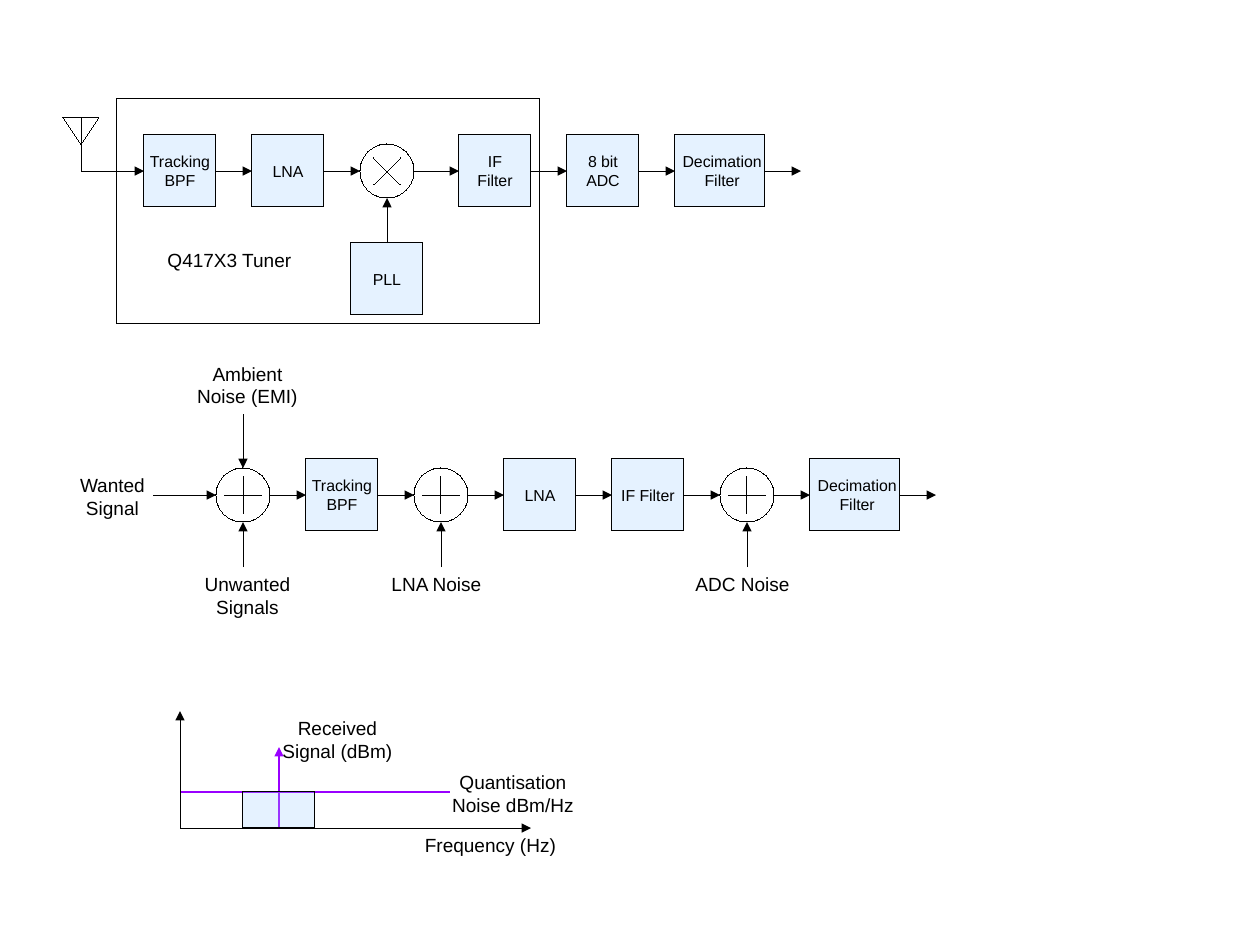
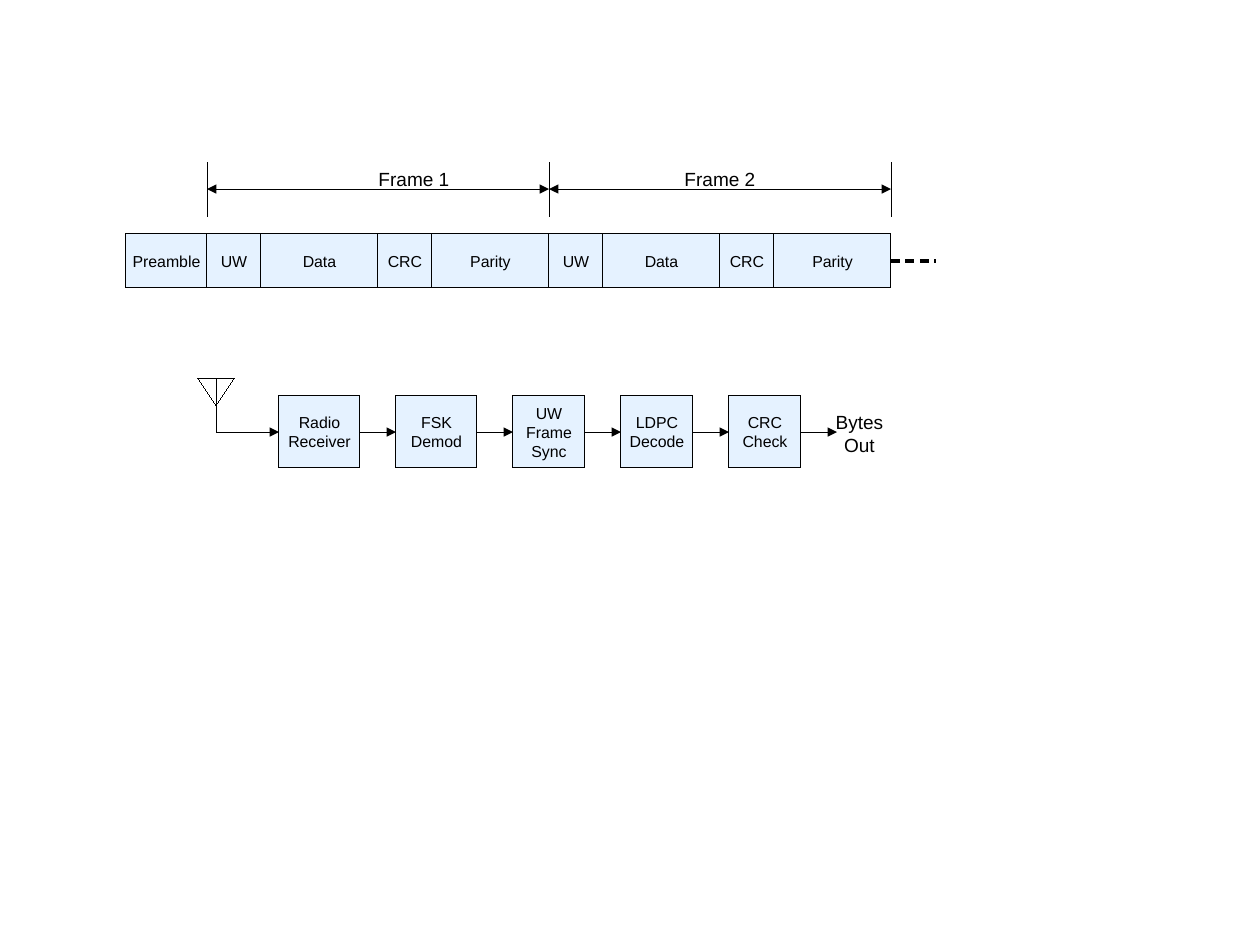
from pptx import Presentation
from pptx.dml.color import RGBColor
from pptx.enum.shapes import MSO_CONNECTOR as Link, MSO_SHAPE as Form
from pptx.enum.text import MSO_ANCHOR as Anchor, PP_ALIGN as Align
from pptx.oxml.ns import qn
from pptx.util import Inches, Pt
from lxml.etree import SubElement as sub

BLACK = RGBColor(0, 0, 0)
WHITE = RGBColor(255, 255, 255)
BLUE = RGBColor(0x99, 0xCC, 0xFF)
PURPLE = RGBColor(0x99, 0, 0xFF)
FONT = "Arial"
STEP = 12.7  # grid steps per inch
PAGE = (140, 105)  # slide size in steps
TALL = 8     # block height in steps
RING = 6     # ring diameter in steps
GAP = 4      # usual gap between blocks

# Content: rows of (kind, text, width, gap after), lengths in grid steps
TUNER = [
    ("block", "Tracking\nBPF", 8, GAP), ("block", "LNA", 8, GAP),
    ("times", "", RING, 5), ("block", "IF\nFilter", 8, GAP),
    ("block", "8 bit\nADC", 8, GAP), ("block", " Decimation\n Filter", 10, GAP),
]
NOISE = [
    ("plus", "", RING, GAP), ("block", "Tracking\nBPF", 8, GAP),
    ("plus", "", RING, GAP), ("block", "LNA", 8, GAP),
    ("block", "IF Filter", 8, GAP), ("plus", "", RING, GAP),
    ("block", " Decimation\n Filter", 10, GAP),
]
MODEM = [
    ("block", "Radio\nReceiver", 9, GAP), ("block", "FSK\nDemod", 9, GAP),
    ("block", "UW\nFrame\nSync", 8, GAP), ("block", "LDPC\nDecode", 8, GAP),
    ("block", "CRC\nCheck", 8, GAP),
]
FRAME = [("UW", 6), ("Data", 13), ("CRC", 6), ("Parity", 13)]
FIELDS = [("Preamble", 9)] + FRAME * 2

# Labels: text, left, top, width
NOTES = [
    ("Q417X3 Tuner", 15, 27, 21),
    ("Wanted\nSignal", 4, 52, 17), ("Ambient\nNoise (EMI)", 19, 39.6, 17),
    ("Unwanted\nSignals", 19, 63, 17), ("LNA Noise", 40, 63, 17),
    ("ADC Noise", 74, 63, 17),
    ("Received Signal (dBm)", 29, 79, 17),
    ("Quantisation Noise dBm/Hz", 48, 85, 18), ("Frequency (Hz)", 44, 92, 21),
]
MARKS = [("Frame 1", 37, 18, 18), ("Frame 2", 71, 18, 18),
         ("Bytes\nOut", 89, 45, 13)]


def grid(*steps):
    return [Inches(n / STEP) for n in steps]


def write(shape, text, size):
    frame = shape.text_frame
    for i, row in enumerate(text.split("\n")):
        para = frame.add_paragraph() if i else frame.paragraphs[0]
        para.alignment = Align.CENTER
        run = para.add_run()
        run.text = row
        run.font.name, run.font.size = FONT, Pt(size)
        run.font.color.rgb = BLACK
    return frame


def label(slide, text, x, y, wide):
    box = slide.shapes.add_textbox(*grid(x, y, wide, 8))
    write(box, text, 12).word_wrap = True


def stroke(item, color=BLACK, width=0):
    """Colour the outline; a hairline needs its zero width written out."""
    item.line.color.rgb = color
    edge = item.line._get_or_add_ln()
    edge.set("w", str(int(Pt(width))))
    return edge


def line(shapes, x1, y1, x2, y2, color=BLACK, width=0, ends=()):
    link = shapes.add_connector(Link.STRAIGHT, *grid(x1, y1, x2, y2))
    edge = stroke(link, color, width)
    for end in ends:
        sub(edge, qn("a:" + end), type="triangle")
    sub(link._element.spPr, qn("a:effectLst"))
    return link


def arrow(slide, *ends, **style):
    return line(slide.shapes, *ends, ends=("tailEnd",), **style)


def shape(shapes, form, x, y, wide, tall, fill=None):
    item = shapes.add_shape(form, *grid(x, y, wide, tall))
    item.shadow.inherit = False
    stroke(item)
    if fill is None:
        item.fill.background()
    else:
        item.fill.solid()
        item.fill.fore_color.rgb = fill
    return item


def block(slide, text, x, y, wide, tall=TALL):
    item = shape(slide.shapes, Form.RECTANGLE, x, y, wide, tall, BLUE)
    tint = item._element.spPr.find(qn("a:solidFill"))[0]
    sub(tint, qn("a:alpha"), val="25000")
    if text:
        frame = write(item, text, 10)
        frame.word_wrap = False
        frame.vertical_anchor = Anchor.MIDDLE
    return item


def ring(slide, kind, x, mid):
    parts = slide.shapes.add_group_shape().shapes
    half = RING / 2
    shape(parts, Form.OVAL, x, mid - half, RING, RING, WHITE)
    cx = x + half
    if kind == "plus":
        bars = [(0, -2.1, 0, 2.1), (-2.1, 0, 2.1, 0)]
    else:
        bars = [(-1.5, -1.5, 1.5, 1.5), (-1.5, 1.5, 1.5, -1.5)]
    for x1, y1, x2, y2 in bars:
        line(parts, cx + x1, mid + y1, cx + x2, mid + y2)


def aerial(slide, x, foot):
    parts = slide.shapes.add_group_shape().shapes
    top, tip = foot - 6, foot - 3
    for ends in [(x, top, x, foot), (x - 2, top, x, tip),
                 (x + 2, top, x, tip), (x + 2, top, x - 2, top)]:
        line(parts, *ends)


def chain(slide, row, start, x, mid):
    """Draw blocks and rings along a line, with an arrow before each and after the last."""
    last = None
    for kind, text, wide, gap in row:
        wire = arrow(slide, start, mid, x, mid)
        if last:
            wire.begin_connect(last, 3)
        last = None
        if kind == "block":
            last = block(slide, text, x, mid - TALL / 2, wide)
            wire.end_connect(last, 1)
        else:
            ring(slide, kind, x, mid)
        start = x + wide
        x = start + gap
    wire = arrow(slide, start, mid, x, mid)
    if last:
        wire.begin_connect(last, 3)


def radio(slide):
    # Receiver with its tuner box
    shape(slide.shapes, Form.RECTANGLE, 13, 11, 47, 25)
    aerial(slide, 9, 19)
    chain(slide, TUNER, 9, 16, 19)
    pll = block(slide, "PLL", 39, 27, 8)
    arrow(slide, 43, 27, 43, 22).begin_connect(pll, 0)

    # Noise model
    chain(slide, NOISE, 17, 24, 55)
    arrow(slide, 27, 46, 27, 52)
    for x in (27, 49, 83):
        arrow(slide, x, 63, x, 58)

    # Spectrum
    arrow(slide, 31, 92, 31, 83, color=PURPLE, width=1)
    line(slide.shapes, 20, 88, 50, 88, PURPLE, 0.79)
    arrow(slide, 20, 92, 20, 79)
    arrow(slide, 20, 92, 59, 92)
    block(slide, "", 27, 88, 8, 4)

    for note in NOTES:
        label(slide, *note)


def packet(slide):
    # Fields of the frames
    x = 14
    for text, wide in FIELDS:
        block(slide, text, x, 26, wide, 6)
        x += wide
    more = line(slide.shapes, x, 29, x + 5, 29, width=2.83)
    dash = sub(more.line._get_or_add_ln(), qn("a:custDash"))
    sub(dash, qn("a:ds"), d="200000", sp="120000")

    # Frame lengths
    span = sum(wide for _, wide in FRAME)
    ticks = [x - 2 * span, x - span, x]
    for tick in ticks:
        line(slide.shapes, tick, 24, tick, 18)
    for left, right in zip(ticks, ticks[1:]):
        line(slide.shapes, left, 21, right, 21, ends=("headEnd", "tailEnd"))

    # Receive chain
    aerial(slide, 24, 48)
    chain(slide, MODEM, 24, 31, 48)
    for mark in MARKS:
        label(slide, *mark)


def main():
    deck = Presentation()
    deck.slide_width, deck.slide_height = grid(*PAGE)
    for draw in (radio, packet):
        draw(deck.slides.add_slide(deck.slide_layouts[6]))
    deck.save("out.pptx")


if __name__ == "__main__":
    main()
